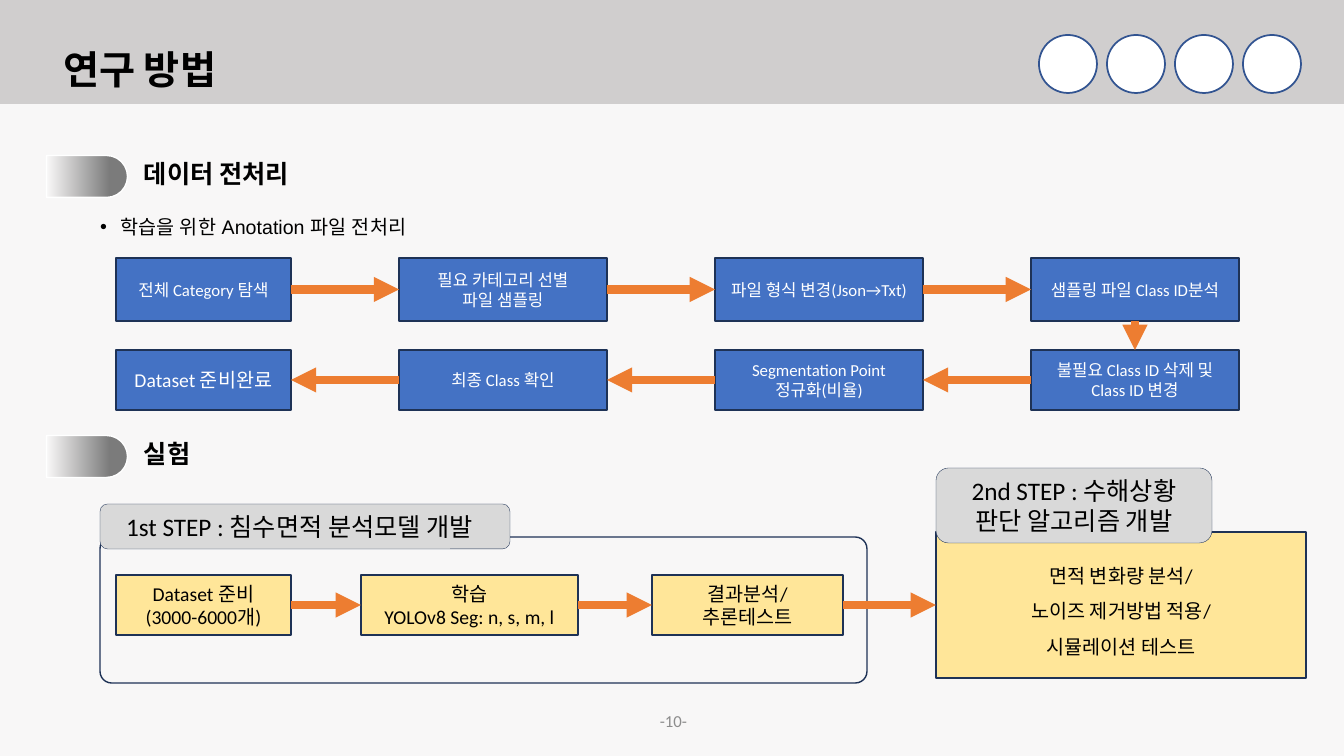
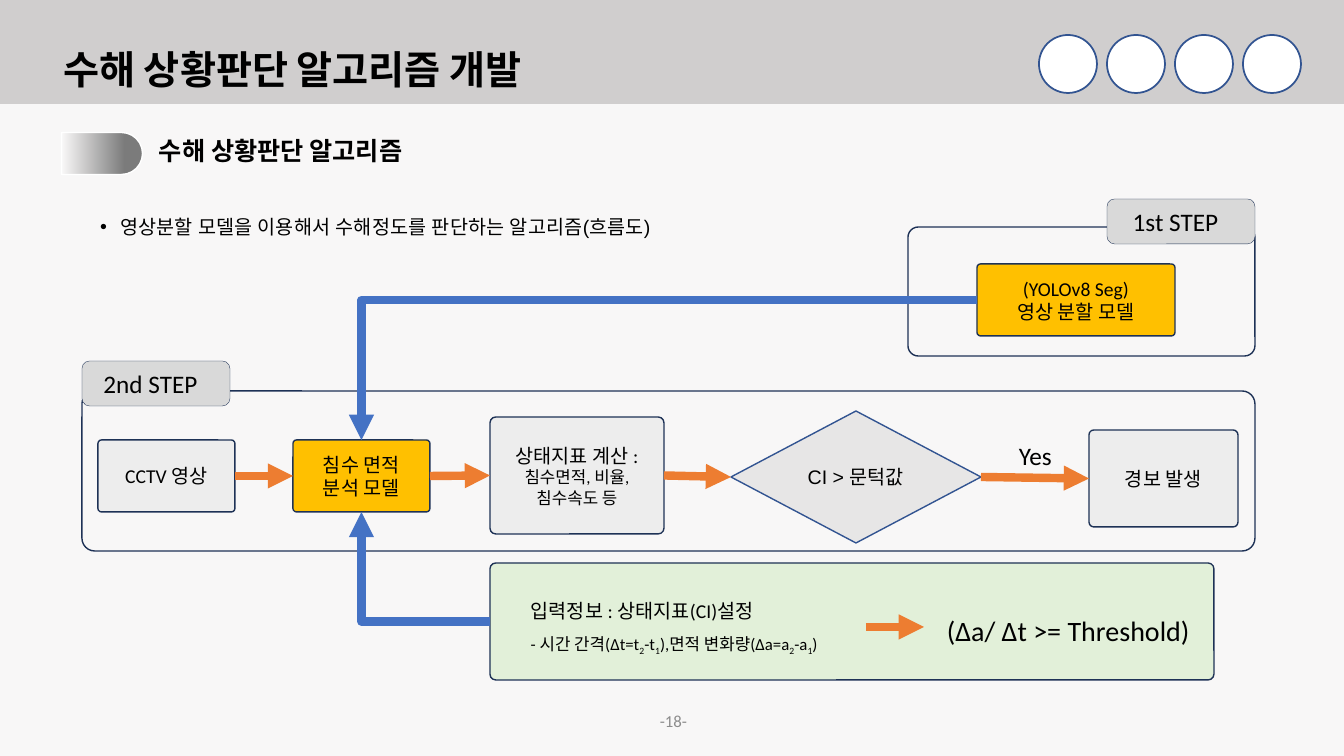
from lxml.etree import SubElement
from pptx import Presentation
from pptx.dml.color import RGBColor
from pptx.enum.shapes import MSO_CONNECTOR, MSO_SHAPE
from pptx.enum.text import MSO_ANCHOR, MSO_AUTO_SIZE, PP_ALIGN
from pptx.oxml.ns import qn
from pptx.util import Emu, Pt

WIDE, HIGH = 1344, 756
SCALE = 12192000 / WIDE

RECT, ROUND = MSO_SHAPE.RECTANGLE, MSO_SHAPE.ROUNDED_RECTANGLE
OVAL, RHOMB = MSO_SHAPE.OVAL, MSO_SHAPE.DIAMOND
DOME = MSO_SHAPE.ROUND_2_SAME_RECTANGLE
LINE, ELBOW = MSO_CONNECTOR.STRAIGHT, MSO_CONNECTOR.ELBOW
LEFT, MID, RIGHT = PP_ALIGN.LEFT, PP_ALIGN.CENTER, PP_ALIGN.RIGHT
MIDDLE, FIXED = MSO_ANCHOR.MIDDLE, MSO_AUTO_SIZE.NONE
N, W, S, E = range(4)  # connection sites of a box

BLACK = RGBColor(0, 0, 0)
WHITE = RGBColor(255, 255, 255)
BAND = RGBColor(0xD0, 0xCE, 0xCE)
PAPER = RGBColor(0xF8, 0xF7, 0xF7)
DARK = RGBColor(0x7B, 0x7B, 0x7B)
PAGE = RGBColor(0x8C, 0x8C, 0x8C)
TAB = RGBColor(0xD9, 0xD9, 0xD9)
PALE = RGBColor(0xED, 0xED, 0xED)
STONE = RGBColor(0xE7, 0xE6, 0xE6)
NAVY = RGBColor(0x1E, 0x32, 0x56)
RING = RGBColor(0x32, 0x54, 0x91)
BLUE = RGBColor(0x44, 0x72, 0xC4)
ORANGE = RGBColor(0xED, 0x7D, 0x31)
CREAM = RGBColor(0xFF, 0xE6, 0x99)
GOLD = RGBColor(0xFF, 0xC0, 0)
GREEN = RGBColor(0xE2, 0xF0, 0xD9)

BODY, HEAD, LIST = "Calibri", "Noto Sans CJK KR", "Arial"


def px(num):
    return Emu(round(num * SCALE))


def place(item, at):
    item.left, item.top, item.width, item.height = map(px, at)


def write(frame, lines, size=14, color=BLACK, font=BODY, bold=False,
          align=MID, gap=None):
    """Fill a frame; a line is text or (text, size), and _x_ lowers x."""
    frame.word_wrap = True
    for num, line in enumerate(lines):
        text, points = (line, size) if isinstance(line, str) else line
        par = frame.add_paragraph() if num else frame.paragraphs[0]
        par.alignment = align
        if gap:
            par.line_spacing = gap
        for spot, part in enumerate(text.split("_")):
            run = par.add_run()
            run.text = part
            run.font.size = Pt(points)
            run.font.bold = bold
            run.font.color.rgb = color
            run.font.name = font
            props = run._r.get_or_add_rPr()
            SubElement(props, qn("a:ea"), typeface=font)
            if spot % 2:
                props.set("baseline", "-25000")


def box(slide, at, fill=None, lines=(), kind=RECT, edge=NAVY, thick=1,
        bend=None, **style):
    shape = slide.shapes.add_shape(kind, *map(px, at))
    shape.shadow.inherit = False
    if fill is None:
        shape.fill.background()
    else:
        shape.fill.solid()
        shape.fill.fore_color.rgb = fill
    if edge is None:
        shape.line.fill.background()
    else:
        shape.line.color.rgb = edge
        shape.line.width = Pt(thick)
    if bend is not None:
        shape.adjustments[0] = bend
    write(shape.text_frame, lines, **style)
    return shape


def card(slide, at, fill, lines, **style):
    return box(slide, at, fill, lines, ROUND, bend=0.05, **style)


def group(slide, at):
    """Outline around the boxes of one step."""
    return box(slide, at, kind=ROUND, bend=0.08)


def tag(slide, at, lines, right=10):
    shape = box(slide, at, TAB, lines, ROUND, thick=0.25, size=18)
    shape.text_frame.margin_right = px(right)


def label(slide, at, text, **style):
    frame = slide.shapes.add_textbox(*map(px, at)).text_frame
    write(frame, [text], **style)
    return frame


def arrow(slide, start, end, color=ORANGE, kind=LINE):
    wire = slide.shapes.add_connector(kind, *map(px, start + end))
    wire.line.color.rgb = color
    wire.line.width = Pt(6)
    props = wire.element.spPr
    SubElement(props.find(qn("a:ln")), qn("a:tailEnd"), type="triangle")
    SubElement(props, qn("a:effectLst"))
    return wire


def link(slide, first, out, last, into, **style):
    wire = arrow(slide, (0, 0), (0, 0), **style)
    wire.begin_connect(first, out)
    wire.end_connect(last, into)
    return wire


def turn(slide, first, last, into):
    """Blue arrow that leaves to the left and turns once."""
    wire = link(slide, first, W, last, into, color=BLUE, kind=ELBOW)
    wire.element.spPr.find(qn("a:prstGeom")).set("prst", "bentConnector2")


def chain(slide, boxes, out=E, into=W):
    for first, last in zip(boxes, boxes[1:]):
        link(slide, first, out, last, into)


def topic(slide, left, top, text):
    """Section heading behind a shaded pill."""
    pill = box(slide, (left + 19, top - 19, 42, 81), WHITE, kind=DOME,
               edge=WHITE, bend=0.5)
    pill.rotation = 90
    pill.fill.gradient()
    pill.fill.gradient_angle = 270
    for stop, spot, color in zip(pill.fill.gradient_stops, (0.22, 1),
                                 (DARK, PAPER)):
        stop.position = spot
        stop.color.rgb = color
    frame = label(slide, (left + 97, top + 3, 456, 30), text, size=18,
                  font=HEAD, bold=True, align=LEFT)
    frame.margin_left = frame.margin_right = 0
    frame.margin_top = frame.margin_bottom = 0


def dress(layout, slide):
    """Give the layout its band, rings and places, drawn by way of a slide."""
    layout.background.fill.solid()
    layout.background.fill.fore_color.rgb = BAND
    place(layout.placeholders.get(0), (53, 40, 905, 64))
    place(layout.placeholders.get(1), (90, 203, 784, 37))
    parts = [box(slide, (1039 + 68 * num, 35, 58, 58), WHITE, kind=OVAL,
                 edge=RING, thick=1.25) for num in range(4)]
    parts.append(box(slide, (0, 104, WIDE, HIGH - 104), PAPER, edge=None))
    for num, part in enumerate(parts):
        part.element.nvSpPr.cNvPr.set("id", str(100 + num))
        layout.shapes.element.insert(2 + num, part.element)


def start(slide, title, point, page):
    frame = slide.shapes.title.text_frame
    frame.vertical_anchor = MIDDLE
    frame.auto_size = FIXED
    write(frame, [title], 28, font=HEAD, bold=True, align=LEFT, gap=0.9)
    frame = slide.placeholders[1].text_frame
    frame.auto_size = FIXED
    par = frame.paragraphs[0]
    props = par._p.get_or_add_pPr()
    props.set("marL", str(px(20)))
    props.set("indent", str(px(-20)))
    par.space_before = Pt(0)
    write(frame, [point], font=LIST, align=LEFT, gap=1.3)
    frame = label(slide, (630, 701, 67, 40), page, size=12, color=PAGE,
                  align=RIGHT)
    frame.vertical_anchor = MIDDLE


def method(slide):
    start(slide, "연구 방법", "학습을 위한 Anotation 파일 전처리", "-10-")
    topic(slide, 47, 155, "데이터 전처리")
    topic(slide, 47, 435, "실험")

    cols = [(116, 175)] + [(399 + 316 * num, 208) for num in range(3)]
    rows = [
        (258, 63, [["전체 Category 탐색"],
                   ["필요 카테고리 선별", "파일 샘플링"],
                   ["파일 형식 변경(Json→Txt)"],
                   ["샘플링 파일 Class ID분석"]]),
        (350, 60, [[("Dataset 준비완료", 14)],
                   ["최종 Class 확인"],
                   ["Segmentation Point", "정규화(비율)"],
                   ["불필요 Class ID 삭제 및", "Class ID 변경"]]),
    ]
    upper, lower = [
        [box(slide, (left, top, wide, high), BLUE, lines, size=12, color=WHITE)
         for (left, wide), lines in zip(cols, texts)]
        for top, high, texts in rows]
    chain(slide, upper)
    link(slide, upper[-1], S, lower[-1], N)
    chain(slide, lower[::-1], W, E)

    group(slide, (100, 537, 767, 146))
    steps = [box(slide, (left, 575, wide, 60), CREAM, lines)
             for left, wide, lines in (
                 (116, 175, ["Dataset 준비", "(3000-6000개)"]),
                 (361, 217, ["학습", "YOLOv8 Seg: n, s, m, l"]),
                 (652, 191, ["결과분석/", "추론테스트"]))]
    steps.append(box(slide, (936, 532, 370, 146), CREAM,
                     ["면적 변화량 분석/", "노이즈 제거방법 적용/",
                      "시뮬레이션 테스트"], gap=1.5))
    chain(slide, steps)
    tag(slide, (100, 504, 410, 45), ["1st STEP : 침수면적 분석모델 개발"], 21)
    tag(slide, (936, 468, 276, 75),
        ["2nd STEP : 수해상황", "판단 알고리즘 개발"])


def logic(slide):
    start(slide, "수해 상황판단 알고리즘 개발",
          "영상분할 모델을 이용해서 수해정도를 판단하는 알고리즘(흐름도)", "-18-")
    topic(slide, 62, 132, "수해 상황판단 알고리즘")

    group(slide, (908, 227, 347, 129))
    tag(slide, (1107, 199, 148, 45), ["1st STEP"], 21)
    group(slide, (82, 391, 1173, 160))
    tag(slide, (82, 361, 148, 45), ["2nd STEP"], 21)

    model = card(slide, (977, 264, 198, 72), GOLD,
                 ["(YOLOv8 Seg)", "영상 분할 모델"])
    video = card(slide, (98, 440, 137, 72), PALE, ["CCTV 영상"])
    flood = card(slide, (293, 440, 137, 72), GOLD, ["침수 면적", "분석 모델"])
    index = card(slide, (490, 417, 174, 117), PALE,
                 ["상태지표 계산 :", ("침수면적, 비율,", 12), ("침수속도 등", 12)])
    test = box(slide, (731, 411, 250, 132), STONE, ["CI > 문턱값"], RHOMB,
               edge=RING, font=LIST)
    alarm = card(slide, (1089, 430, 149, 97), PALE, ["경보 발생"])
    chain(slide, [video, flood, index, test, alarm])
    label(slide, (1009, 435, 60, 40), "Yes", size=18, align=LEFT)

    setup = card(slide, (490, 563, 724, 117), GREEN,
                 ["입력정보 : 상태지표(CI)설정",
                  ("- 시간 간격(Δt=t_2_-t_1_),면적 변화량(Δa=a_2_-a_1_)", 12)],
                 align=LEFT, gap=1.5)
    setup.text_frame.margin_left = px(39)
    turn(slide, model, flood, N)
    turn(slide, setup, flood, S)
    arrow(slide, (866, 627), (924, 627))
    label(slide, (937, 592, 275, 55), "(Δa/ Δt >= Threshold)", size=20,
          align=LEFT, gap=1.5)


def main():
    deck = Presentation()
    deck.slide_width, deck.slide_height = px(WIDE), px(HIGH)
    layout = deck.slide_layouts[1]
    slides = [deck.slides.add_slide(layout) for _ in range(2)]
    dress(layout, slides[0])
    method(slides[0])
    logic(slides[1])
    deck.save("out.pptx")


if __name__ == "__main__":
    main()
